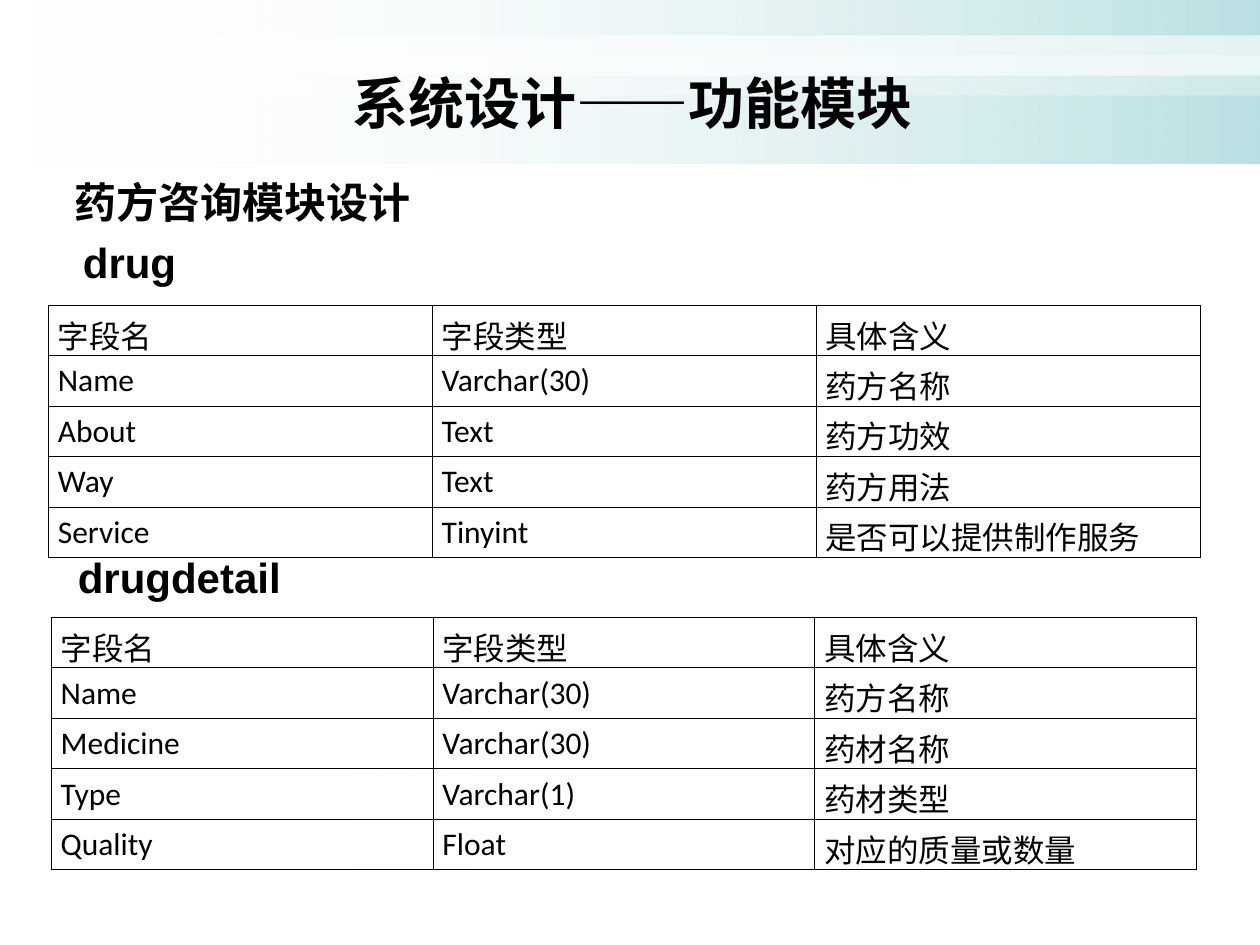
from dataclasses import dataclass

from pptx import Presentation
from pptx.dml.color import RGBColor
from pptx.enum.shapes import MSO_SHAPE
from pptx.enum.text import MSO_ANCHOR, MSO_AUTO_SIZE, PP_ALIGN
from pptx.oxml.ns import qn
from pptx.oxml.xmlchemy import OxmlElement
from pptx.util import Pt


@dataclass(frozen=True)
class Theme:
    white: RGBColor = RGBColor(0xFF, 0xFF, 0xFF)
    teal: RGBColor = RGBColor(0xBB, 0xE0, 0xE3)
    black: RGBColor = RGBColor(0, 0, 0)
    title_font: str = "Noto Sans CJK SC"
    heading_font: str = "Arial"
    table_font: str = "Calibri"
    title_size: int = 32
    heading_size: int = 24
    table_size: int = 18
    border_width: float = 0.45


THEME = Theme()

HEADINGS = [
    ("药方咨询模块设计", 35.3, 97.2, 281.5),
    ("drug", 40.3, 131.8, 280.8),
    ("drugdetail", 37.4, 311.8, 280.8),
]

COLUMN_TITLES = ("字段名", "字段类型", "具体含义")
DRUG_FIELDS = [
    COLUMN_TITLES,
    ("Name", "Varchar(30)", "药方名称"),
    ("About", "Text", "药方功效"),
    ("Way", "Text", "药方用法"),
    ("Service", "Tinyint", "是否可以提供制作服务"),
]
DETAIL_FIELDS = [
    COLUMN_TITLES,
    ("Name", "Varchar(30)", "药方名称"),
    ("Medicine", "Varchar(30)", "药材名称"),
    ("Type", "Varchar(1)", "药材类型"),
    ("Quality", "Float", "对应的质量或数量"),
]


def apply_format(target, values):
    for name, value in values.items():
        setattr(target, name, value)


def write_text(text_frame, text, font_name, size, bold, alignment):
    paragraph = text_frame.paragraphs[0]
    paragraph.alignment = alignment
    run = paragraph.add_run()
    run.text = text
    apply_format(run.font, {"name": font_name, "size": Pt(size), "bold": bold})
    run.font.color.rgb = THEME.black


def set_opacity(shape, percents):
    colours = shape._element.spPr.iter(qn("a:srgbClr"))
    for colour, percent in zip(colours, percents):
        alpha = OxmlElement("a:alpha")
        alpha.set("val", str(percent * 1000))
        colour.append(alpha)


def add_band(slide, left, top, width, height, colours, opacities):
    shape = slide.shapes.add_shape(
        MSO_SHAPE.RECTANGLE, Pt(left), Pt(top), Pt(width), Pt(height))
    shape.shadow.inherit = False
    if len(colours) == 1:
        shape.fill.solid()
        shape.fill.fore_color.rgb = colours[0]
    else:
        shape.fill.gradient()
        shape.fill.gradient_angle = 0
        for stop, colour in zip(shape.fill.gradient_stops, colours):
            stop.color.rgb = colour
    shape.line.fill.background()
    set_opacity(shape, opacities)


def add_background(slide):
    add_band(slide, 201.6, 434.2, 67.7, 105.8, [THEME.white] * 2, [0, 100])
    add_band(slide, 0, 0, 720, 93.6, [THEME.white, THEME.teal], [0, 100])
    add_band(slide, 0, 20.2, 720, 23, [THEME.white], [60])
    add_band(slide, 0, 31.7, 720, 23, [THEME.white], [31])


def place_title(slide, text):
    title = slide.shapes.title
    slide.shapes._spTree.append(title._element)
    apply_format(title, {"left": Pt(37.4), "top": Pt(31),
                         "width": Pt(648), "height": Pt(54.7)})
    apply_format(title.text_frame, {"vertical_anchor": MSO_ANCHOR.MIDDLE,
                                    "auto_size": MSO_AUTO_SIZE.NONE})
    write_text(title.text_frame, text, THEME.title_font, THEME.title_size,
               True, PP_ALIGN.CENTER)


def add_heading(slide, text, left, top, width):
    box = slide.shapes.add_textbox(Pt(left), Pt(top), Pt(width), Pt(36))
    apply_format(box.text_frame, {"word_wrap": True,
                                  "auto_size": MSO_AUTO_SIZE.SHAPE_TO_FIT_TEXT})
    write_text(box.text_frame, text, THEME.heading_font, THEME.heading_size,
               True, PP_ALIGN.LEFT)


def add_borders(cell):
    properties = cell._tc.get_or_add_tcPr()
    for side in ("a:lnL", "a:lnR", "a:lnT", "a:lnB"):
        line = OxmlElement(side)
        line.set("w", str(int(Pt(THEME.border_width))))
        fill = OxmlElement("a:solidFill")
        colour = OxmlElement("a:srgbClr")
        colour.set("val", str(THEME.black))
        fill.append(colour)
        line.append(fill)
        properties.append(line)


def add_field_table(slide, rows, left, top, width, row_height):
    frame = slide.shapes.add_table(
        len(rows), len(rows[0]), Pt(left), Pt(top),
        Pt(width), Pt(row_height * len(rows)))
    table = frame.table
    apply_format(table, {"first_row": False, "horz_banding": False})
    for row, values in zip(table.rows, rows):
        row.height = Pt(row_height)
        for cell, value in zip(row.cells, values):
            apply_format(cell, {"margin_left": Pt(5.4), "margin_right": Pt(5.4),
                                "margin_top": Pt(3.6), "margin_bottom": Pt(3.6)})
            add_borders(cell)
            cell.fill.background()
            write_text(cell.text_frame, value, THEME.table_font,
                       THEME.table_size, False, PP_ALIGN.JUSTIFY)


def main():
    presentation = Presentation()
    apply_format(presentation, {"slide_width": Pt(720), "slide_height": Pt(540)})
    slide = presentation.slides.add_slide(presentation.slide_layouts[5])
    add_background(slide)
    place_title(slide, "系统设计——功能模块")
    for heading in HEADINGS:
        add_heading(slide, *heading)
    add_field_table(slide, DRUG_FIELDS, 27.7, 174.4, 658, 26.1)
    add_field_table(slide, DETAIL_FIELDS, 29.3, 352.8, 654.5, 28.4)
    presentation.save("out.pptx")


if __name__ == "__main__":
    main()
